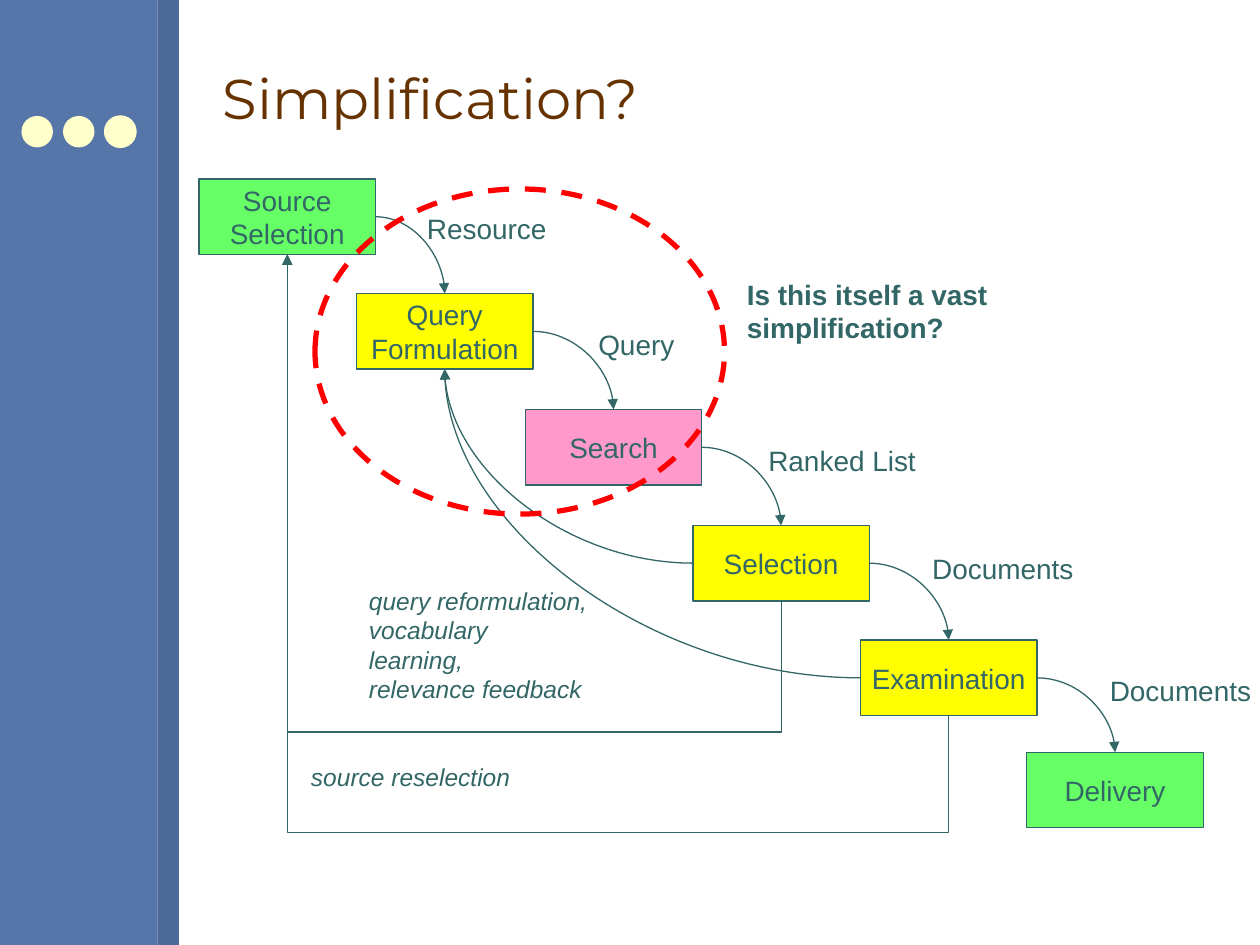
from dataclasses import dataclass
from itertools import pairwise

from lxml import etree
from pptx import Presentation
from pptx.dml.color import RGBColor
from pptx.enum.dml import MSO_LINE
from pptx.enum.shapes import MSO_CONNECTOR, MSO_SHAPE
from pptx.enum.text import MSO_ANCHOR, PP_ALIGN
from pptx.oxml.ns import qn
from pptx.util import Inches, Pt

RECTANGLE, OVAL = MSO_SHAPE.RECTANGLE, MSO_SHAPE.OVAL
CURVE, ELBOW = MSO_CONNECTOR.CURVE, MSO_CONNECTOR.ELBOW
MIDDLE, TOP = MSO_ANCHOR.MIDDLE, MSO_ANCHOR.TOP
LEFT, CENTER = PP_ALIGN.LEFT, PP_ALIGN.CENTER
DASH = MSO_LINE.DASH

COLORS = {
    "sidebar": "5675A9", "stripe": "4D6997", "dot": "FFFFCC",
    "title": "663300", "ink": "336666", "highlight": "FF0000",
    "green": "66FF66", "yellow": "FFFF00", "pink": "FF99CC",
}
STAGE_WIDTH, STAGE_HEIGHT = 1.4, 0.6


@dataclass(frozen=True)
class Stage:
    text: str
    left: float
    top: float
    color: str

    @property
    def center(self) -> float:
        return self.left + STAGE_WIDTH / 2

    @property
    def middle(self) -> float:
        return self.top + STAGE_HEIGHT / 2

    @property
    def right(self) -> float:
        return self.left + STAGE_WIDTH

    @property
    def bottom(self) -> float:
        return self.top + STAGE_HEIGHT


@dataclass(frozen=True)
class Label:
    text: str
    left: float
    top: float
    width: float
    height: float = 0.37
    size: int = 16
    bold: bool = False
    italic: bool = False


STAGES = [
    Stage("Source\nSelection", 1.58, 1.42, "green"),
    Stage("Query\nFormulation", 2.83, 2.33, "yellow"),
    Stage("Search", 4.17, 3.25, "pink"),
    Stage("Selection", 5.5, 4.17, "yellow"),
    Stage("Examination", 6.83, 5.08, "yellow"),
    Stage("Delivery", 8.15, 5.97, "green"),
]
LABELS = [
    Label("Resource", 3.29, 1.63, 1.15),
    Label("Query", 4.65, 2.55, 0.81),
    Label("Ranked List", 6, 3.47, 1.37),
    Label("Documents", 7.3, 4.33, 1.32),
    Label("Documents", 8.71, 5.3, 1.32),
    Label("query reformulation,\nvocabulary learning,\nrelevance feedback",
          2.83, 4.6, 1.94, 0.8, size=14, italic=True),
    Label("source reselection", 2.37, 6, 2.3, 0.34, size=14, italic=True),
    Label("Is this itself a vast simplification?", 5.83, 2.15, 3.73, bold=True),
]


def rgb(name: str) -> RGBColor:
    return RGBColor.from_string(COLORS[name])


def write(shape, text: str, *, size=16, font="Arial", color="ink", bold=False,
          italic=False, align=LEFT, anchor=TOP, wrap=False) -> None:
    frame = shape.text_frame
    frame.word_wrap = wrap
    frame.vertical_anchor = anchor
    for index, line in enumerate(text.split("\n")):
        para = frame.add_paragraph() if index else frame.paragraphs[0]
        para.alignment = align
        span = para.add_run()
        span.text = line
        span.font.size = Pt(size)
        span.font.name = font
        span.font.bold = bold
        span.font.italic = italic
        span.font.color.rgb = rgb(color)


def add_figure(page, kind, left: float, top: float, width: float, height: float,
               fill=None, line=None, weight=0.75):
    shape = page.shapes.add_shape(
        kind, Inches(left), Inches(top), Inches(width), Inches(height))
    shape.shadow.inherit = False
    if fill:
        shape.fill.solid()
        shape.fill.fore_color.rgb = rgb(fill)
    else:
        shape.fill.background()
    if line:
        shape.line.color.rgb = rgb(line)
        shape.line.width = Pt(weight)
    else:
        shape.line.fill.background()
    return shape


def add_text(page, left: float, top: float, width: float, height: float,
             text: str, **style) -> None:
    box = page.shapes.add_textbox(
        Inches(left), Inches(top), Inches(width), Inches(height))
    write(box, text, **style)


def add_arrow(page, kind, start: tuple[float, float], end: tuple[float, float]):
    arrow = page.shapes.add_connector(kind, *map(Inches, start + end))
    arrow.line.color.rgb = rgb("ink")
    arrow.line.width = Pt(0.75)
    etree.SubElement(arrow.line._get_or_add_ln(), qn("a:tailEnd"), type="triangle")
    properties = arrow._element.spPr
    etree.SubElement(properties, qn("a:effectLst"))
    return properties


def add_curve(page, start: tuple[float, float], end: tuple[float, float]) -> None:
    properties = add_arrow(page, CURVE, start, end)
    properties.find(qn("a:prstGeom")).set("prst", "curvedConnector2")


def add_return(page, source: Stage, target: Stage, floor: float) -> None:
    rise = source.bottom - target.bottom
    run = source.center - target.center
    middle_x = (source.center + target.center) / 2
    middle_y = (source.bottom + target.bottom) / 2
    properties = add_arrow(
        page, ELBOW,
        (middle_x - rise / 2, middle_y + run / 2),
        (middle_x + rise / 2, middle_y - run / 2))
    properties.find(qn("a:xfrm")).set("rot", str(270 * 60000))
    guides = properties.find(qn("a:prstGeom")).get_or_add_avLst()
    drop = round(-(floor - source.bottom) / rise * 100000)
    etree.SubElement(guides, qn("a:gd"), name="adj1", fmla=f"val {drop}")


def main() -> None:
    deck = Presentation()
    deck.slide_width, deck.slide_height = Inches(10), Inches(7.5)
    page = deck.slides.add_slide(deck.slide_layouts[6])

    add_figure(page, RECTANGLE, 0, 0, 1.25, 7.5, "sidebar")
    add_figure(page, RECTANGLE, 1.25, 0, 0.17, 7.5, "stripe")
    for left, line in ((0.17, None), (0.5, None), (0.83, "dot")):
        add_figure(page, OVAL, left, 0.92, 0.25, 0.25, "dot", line)
    add_text(page, 1.67, 0.21, 8, 1.13, "Simplification?", size=32,
             font="Montserrat", color="title", anchor=MIDDLE, wrap=True)

    for stage in STAGES:
        box = add_figure(page, RECTANGLE, stage.left, stage.top,
                         STAGE_WIDTH, STAGE_HEIGHT, stage.color, "ink")
        write(box, stage.text, align=CENTER, anchor=MIDDLE)
    for stage, following in pairwise(STAGES):
        add_curve(page, (stage.right, stage.middle),
                  (following.center, following.top))

    source, query, _, selection, examination, _ = STAGES
    for stage, floor in ((examination, 6.61), (selection, 5.81)):
        add_curve(page, (stage.left, stage.middle), (query.center, query.bottom))
        add_return(page, stage, source, floor)

    for label in LABELS:
        add_text(page, label.left, label.top, label.width, label.height, label.text,
                 size=label.size, bold=label.bold, italic=label.italic)

    ring = add_figure(page, OVAL, 2.5, 1.5, 3.25, 2.58, line="highlight", weight=3)
    ring.line.dash_style = DASH
    deck.save("out.pptx")


if __name__ == "__main__":
    main()
